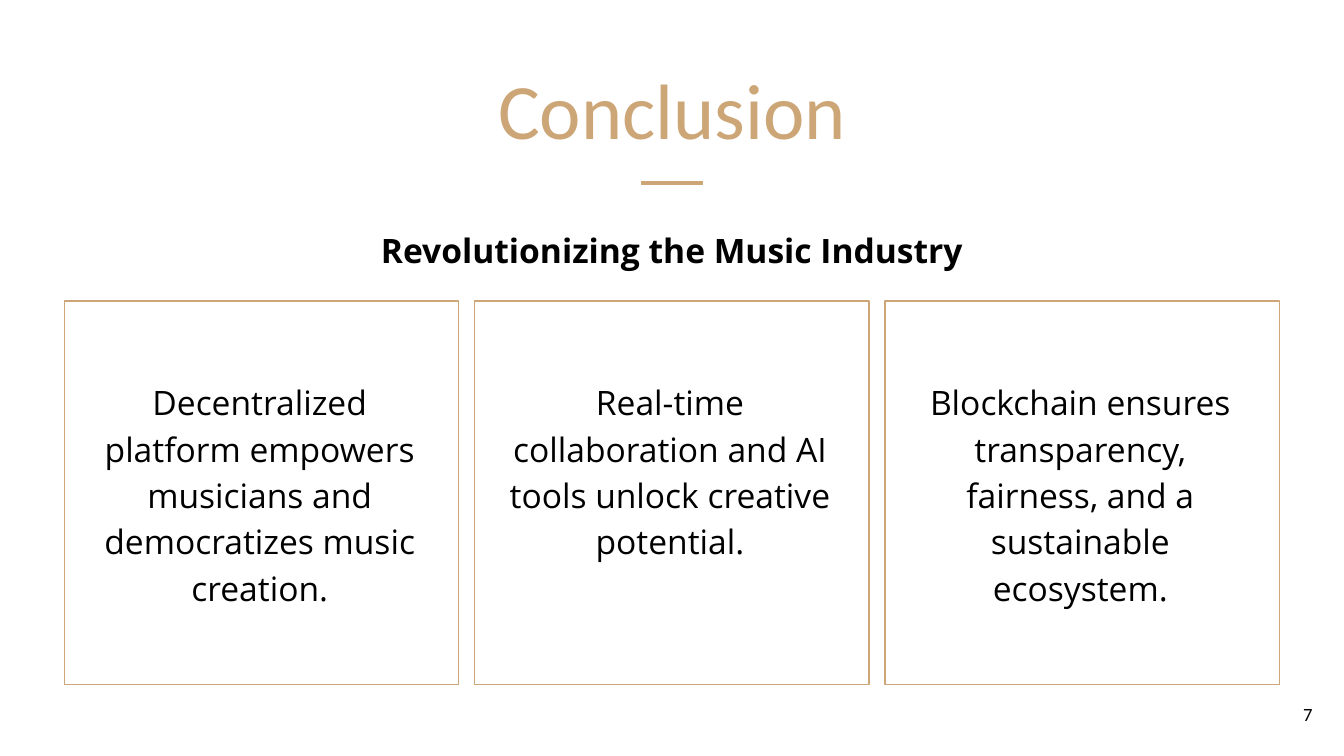
from dataclasses import dataclass
from typing import Any

from lxml.etree import SubElement
from pptx import Presentation
from pptx.dml.color import RGBColor
from pptx.enum.shapes import MSO_CONNECTOR, MSO_SHAPE
from pptx.enum.text import MSO_ANCHOR, PP_ALIGN
from pptx.oxml.ns import qn
from pptx.slide import Slide
from pptx.util import Inches, Pt


@dataclass(frozen=True)
class Theme:
    gold: RGBColor = RGBColor(0xCC, 0xA6, 0x77)
    black: RGBColor = RGBColor(0, 0, 0)
    white: RGBColor = RGBColor(0xFF, 0xFF, 0xFF)
    heading_font: str = "Calibri"
    body_font: str = "Open Sans"
    title_size: float = 42
    body_size: float = 18
    number_size: float = 10
    card_line: float = 0.75
    accent_line: float = 2.25
    card_spacing: float = 1.15


@dataclass(frozen=True)
class Grid:
    columns: float = 1000
    rows: float = 562.5
    cell: int = Inches(0.01)

    def length(self, cells: float) -> int:
        return round(cells * self.cell)


@dataclass(frozen=True)
class Area:
    column: float
    row: float
    columns: float
    rows: float

    def moved(self, columns: float) -> "Area":
        return Area(self.column + columns, self.row, self.columns, self.rows)

    def lengths(self) -> list[int]:
        return [GRID.length(cells) for cells in
                (self.column, self.row, self.columns, self.rows)]


@dataclass(frozen=True)
class Label:
    text: str
    area: Area
    font: dict[str, Any]
    color: RGBColor
    align: PP_ALIGN = PP_ALIGN.CENTER
    anchor: MSO_ANCHOR = MSO_ANCHOR.TOP
    top_margin: float = 10
    line_spacing: float = 1.0


THEME = Theme()
GRID = Grid()
MARGIN = 10
CARD = Area(48, 224, 293.3, 285.3)
CARD_TEXT = Area(57, 229, 272.5, 280)
CARD_PITCH = 305.3
CARD_TEXT_TOP = 51
ACCENT_ROW = 136
ACCENT_COLUMNS = 45.5

BODY_FONT = {"name": THEME.body_font, "size": Pt(THEME.body_size)}
CARD_TEXTS = (
    "Decentralized platform empowers musicians and democratizes music creation.",
    "Real-time collaboration and AI tools unlock creative potential.",
    "Blockchain ensures transparency, fairness, and a sustainable ecosystem.",
)
TITLE = Label("Conclusion", Area(34, 34.5, 932, 91),
              {"name": THEME.heading_font, "size": Pt(THEME.title_size)},
              THEME.gold, anchor=MSO_ANCHOR.BOTTOM)
SUBTITLE = Label("Revolutionizing the Music Industry", Area(191, 161, 618, 111),
                 BODY_FONT | {"bold": True}, THEME.black)
PAGE_NUMBER = Label("7", Area(926.5, 510, 60, 43),
                    {"name": THEME.heading_font, "size": Pt(THEME.number_size)},
                    THEME.black, PP_ALIGN.RIGHT, MSO_ANCHOR.MIDDLE)


def apply_format(target: Any, values: dict[str, Any]) -> None:
    for name, value in values.items():
        setattr(target, name, value)


def draw_label(page: Slide, label: Label) -> None:
    box = page.shapes.add_textbox(*label.area.lengths())
    margin = GRID.length(MARGIN)
    apply_format(box.text_frame, {
        "word_wrap": True,
        "vertical_anchor": label.anchor,
        "margin_left": margin,
        "margin_right": margin,
        "margin_bottom": margin,
        "margin_top": GRID.length(label.top_margin),
    })
    para = box.text_frame.paragraphs[0]
    apply_format(para, {"alignment": label.align, "line_spacing": label.line_spacing})
    span = para.add_run()
    span.text = label.text
    apply_format(span.font, label.font)
    span.font.color.rgb = label.color


def draw_card(page: Slide, index: int, text: str) -> None:
    shift = index * CARD_PITCH
    box = page.shapes.add_shape(MSO_SHAPE.RECTANGLE, *CARD.moved(shift).lengths())
    box.shadow.inherit = False
    box.fill.background()
    box.line.color.rgb = THEME.gold
    box.line.width = Pt(THEME.card_line)
    draw_label(page, Label(text, CARD_TEXT.moved(shift), BODY_FONT, THEME.black,
                           top_margin=CARD_TEXT_TOP,
                           line_spacing=THEME.card_spacing))


def draw_accent(page: Slide) -> None:
    start = (GRID.columns - ACCENT_COLUMNS) / 2
    row = GRID.length(ACCENT_ROW)
    line = page.shapes.add_connector(
        MSO_CONNECTOR.STRAIGHT, GRID.length(start), row,
        GRID.length(start + ACCENT_COLUMNS), row)
    line.line.color.rgb = THEME.gold
    line.line.width = Pt(THEME.accent_line)
    SubElement(line._element.spPr, qn("a:effectLst"))


def main() -> None:
    deck = Presentation()
    apply_format(deck, {"slide_width": GRID.length(GRID.columns),
                        "slide_height": GRID.length(GRID.rows)})
    page = deck.slides.add_slide(deck.slide_layouts[6])
    page.background.fill.solid()
    page.background.fill.fore_color.rgb = THEME.white
    draw_label(page, TITLE)
    draw_accent(page)
    for index, text in enumerate(CARD_TEXTS):
        draw_card(page, index, text)
    for label in (SUBTITLE, PAGE_NUMBER):
        draw_label(page, label)
    deck.save("out.pptx")


if __name__ == "__main__":
    main()
